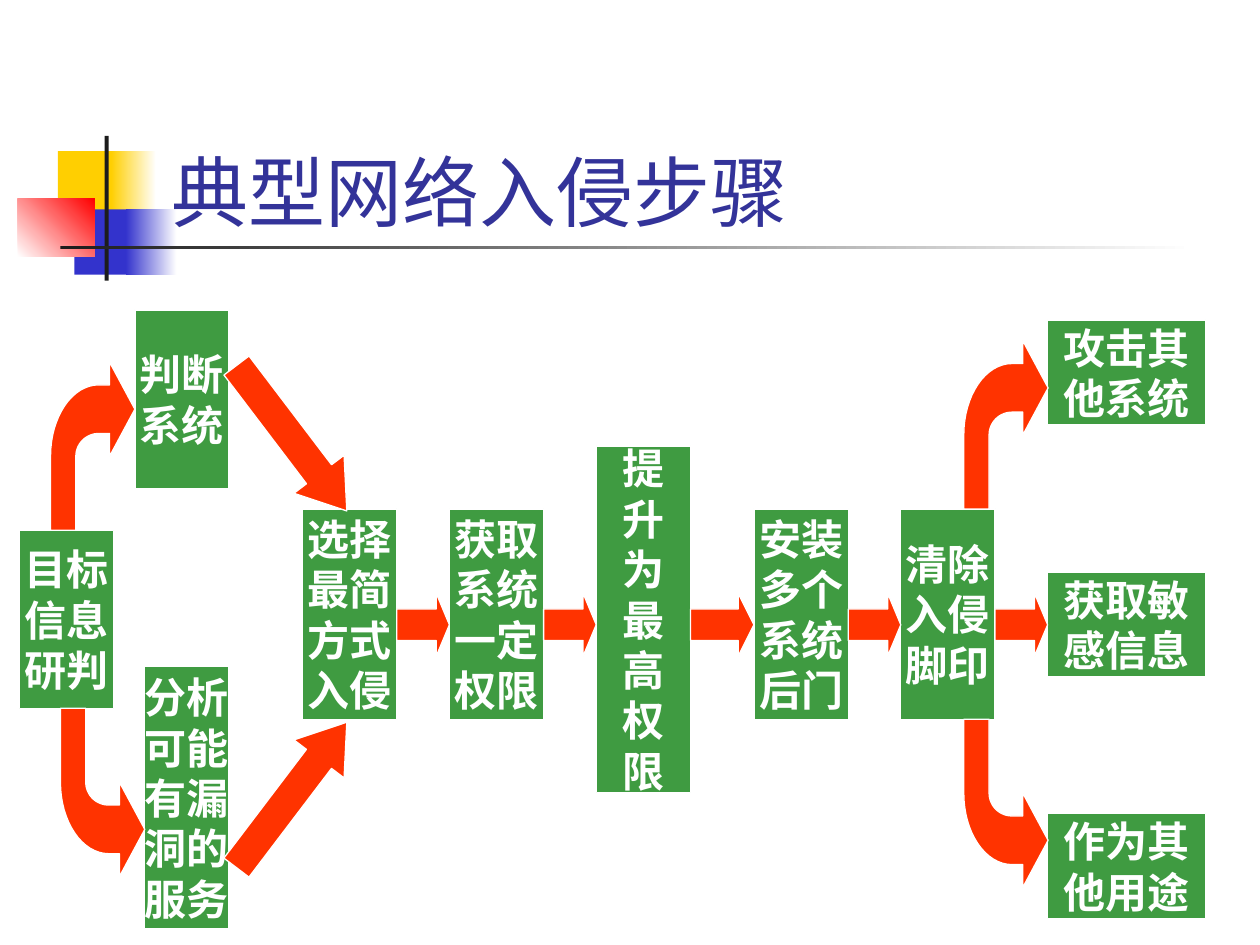
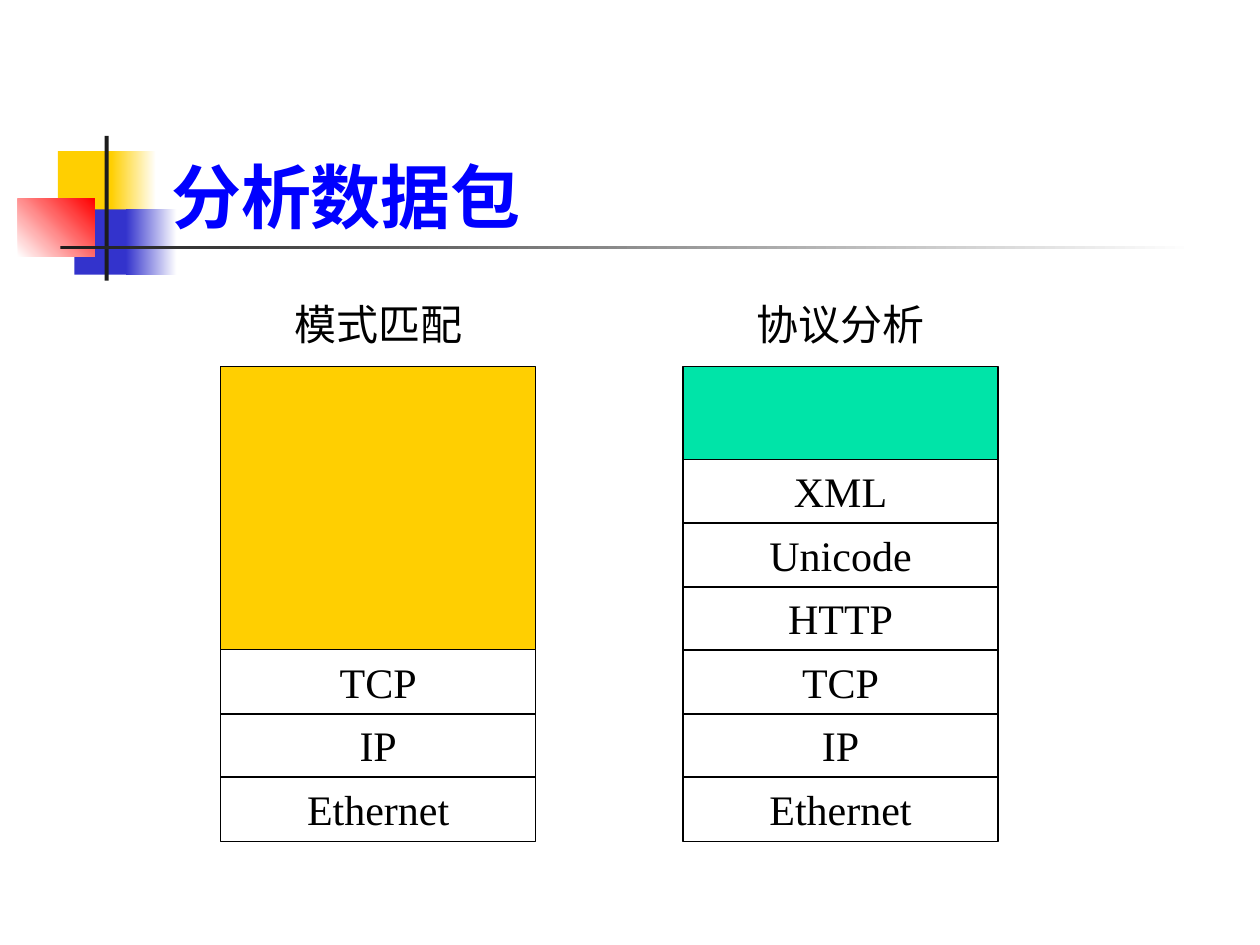
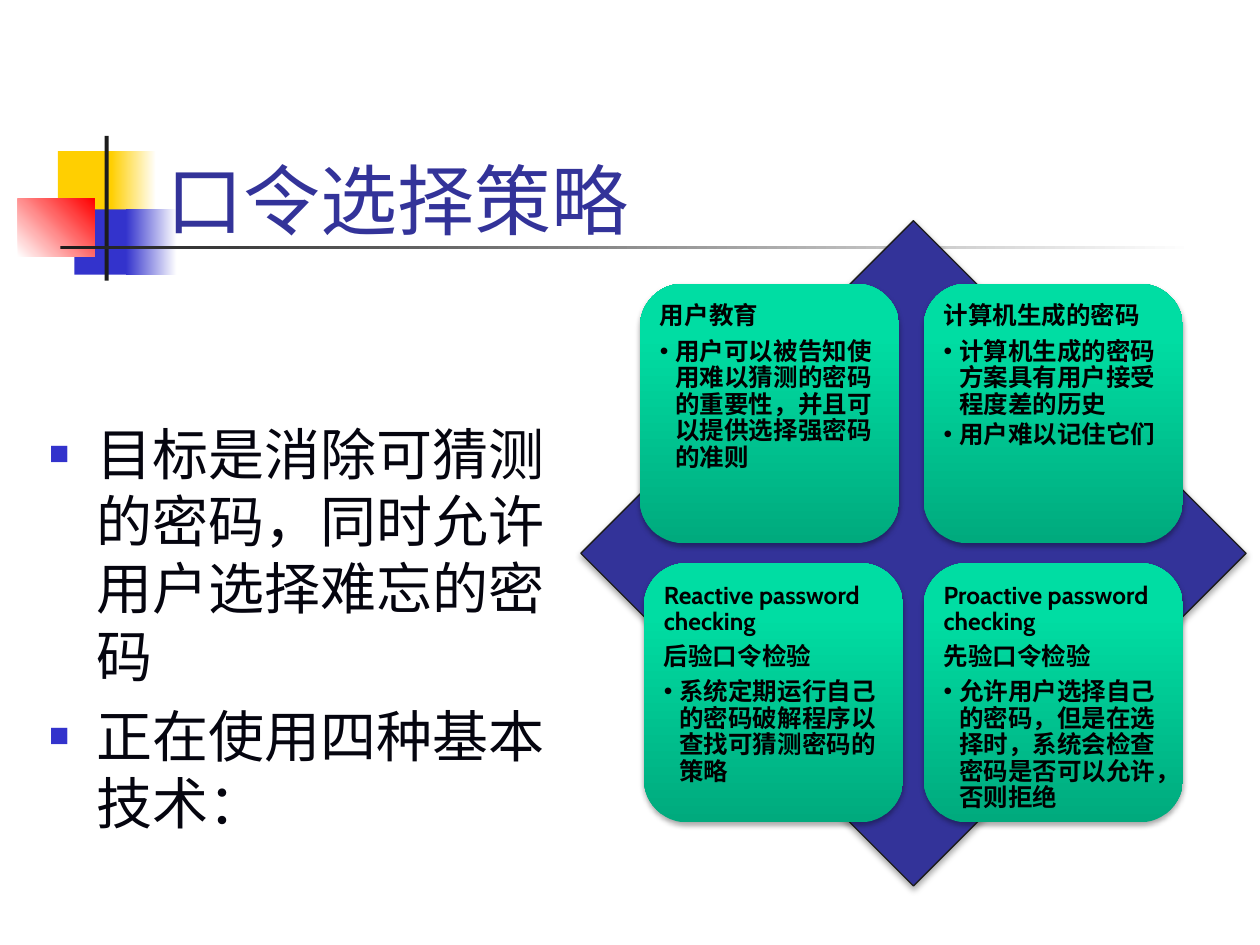
import math
from dataclasses import dataclass

import lxml.etree
import pptx
import pptx.dml.color
import pptx.enum.lang
import pptx.enum.shapes
import pptx.enum.text
import pptx.oxml.ns
import pptx.util

Cm = pptx.util.Cm
Pt = pptx.util.Pt
qn = pptx.oxml.ns.qn
SHAPE = pptx.enum.shapes.MSO_SHAPE
ALIGN = pptx.enum.text.PP_ALIGN
ANCHOR = pptx.enum.text.MSO_ANCHOR


@dataclass(frozen=True)
class TextStyle:
    font: str
    size: int
    color: str
    bold: bool = False


class Theme:
    white, black, ink = "FFFFFF", "000000", "1C1C1C"
    yellow, blue, red, indigo = "FFCF01", "3333CC", "FF0000", "333399"
    green, orange, mint = "3F9B41", "FF3300", "00E4A8"
    card_stops = [(0, "00AA7D"), (80, "00DDA3"), (100, "00DEA4")]
    line_width = 0.75
    title = TextStyle("Cabin", 44, indigo)
    title_bold = TextStyle("Cabin", 40, "0000FF", True)
    title_serif = TextStyle("Times New Roman", 44, indigo)
    step = TextStyle("Arial", 24, white, True)
    layer = TextStyle("Times New Roman", 24, black)
    body = TextStyle("Cabin", 32, "05050F")
    card = TextStyle("Cabin", 14, black, True)


def rgb(color):
    return pptx.dml.color.RGBColor.from_string(color)


# Shapes

def style_shape(shape, fill=None, line=None):
    shape.shadow.inherit = False
    if fill:
        shape.fill.solid()
        shape.fill.fore_color.rgb = rgb(fill)
    else:
        shape.fill.background()
    if line:
        shape.line.color.rgb = rgb(line)
        shape.line.width = Pt(Theme.line_width)
    else:
        shape.line.fill.background()
    return shape


def add_shape(slide, kind, box, fill=None, line=None):
    shape = slide.shapes.add_shape(kind, *map(Cm, box))
    return style_shape(shape, fill, line)


def add_element(parent, tag, **attributes):
    values = {name: str(value) for name, value in attributes.items()}
    return lxml.etree.SubElement(parent, qn(tag), values)


def set_gradient(shape, stops, angle=0):
    """Angle runs counter-clockwise from left-to-right."""
    shape.fill.gradient()
    shape.fill.gradient_angle = angle
    stop_list = shape.element.spPr.find(".//" + qn("a:gsLst"))
    for stop in list(stop_list):
        stop_list.remove(stop)
    for position, color in stops:
        stop = add_element(stop_list, "a:gs", pos=position * 1000)
        add_element(stop, "a:srgbClr", val=color)


def add_soft_shadow(shape):
    effects = shape.element.spPr.find(qn("a:effectLst"))
    shadow = add_element(effects, "a:outerShdw", blurRad=Pt(3.1), dist=Pt(1.8),
                         dir=90 * 60000, rotWithShape=0)
    color = add_element(shadow, "a:srgbClr", val=Theme.black)
    add_element(color, "a:alpha", val=35000)


# Text

def add_run(paragraph, text, style):
    run = paragraph.add_run()
    run.text = text
    run.font.name = style.font
    run.font.size = Pt(style.size)
    run.font.bold = style.bold
    run.font.color.rgb = rgb(style.color)
    if not text.isascii():
        run.font.language_id = pptx.enum.lang.MSO_LANGUAGE_ID.SIMPLIFIED_CHINESE


def write_lines(shape, lines, style, align=ALIGN.LEFT, anchor=ANCHOR.TOP, wrap=True):
    frame = shape.text_frame
    frame.word_wrap = wrap
    frame.vertical_anchor = anchor
    for index, line in enumerate(lines):
        paragraph = frame.add_paragraph() if index else frame.paragraphs[0]
        paragraph.alignment = align
        add_run(paragraph, line, style)
    return frame.paragraphs


def add_text(slide, box, lines, style, **layout):
    shape = slide.shapes.add_textbox(*map(Cm, box))
    write_lines(shape, lines, style, **layout)
    return shape


def set_bullet(paragraph, symbol, indent, color=None, percent=None):
    properties = paragraph._p.get_or_add_pPr()
    properties.set("marL", str(Cm(indent)))
    properties.set("indent", str(-Cm(indent)))
    if color:
        add_element(add_element(properties, "a:buClr"), "a:srgbClr", val=color)
    if percent:
        add_element(properties, "a:buSzPct", val=percent * 1000)
    add_element(properties, "a:buFont", typeface="Arial")
    add_element(properties, "a:buChar", char=symbol)


# Frame shared by the slides

def add_slide(presentation):
    slide = presentation.slides.add_slide(presentation.slide_layouts[6])
    ornaments = [
        ((1.17, 3.05, 1.22, 1.32), Theme.yellow, None, 0),
        ((2.24, 3.05, 0.91, 1.32), Theme.yellow, Theme.white, 0),
        ((1.5, 4.22, 1.17, 1.32), Theme.blue, None, 0),
        ((2.54, 4.22, 1.02, 1.32), Theme.blue, Theme.white, 0),
        ((0.36, 4.01, 1.55, 1.17), Theme.white, Theme.red, 45),
        ((2.11, 2.74, 0.08, 2.92), Theme.ink, None, 0),
        ((1.22, 4.95, 22.86, 0.08), Theme.ink, Theme.white, 0),
    ]
    for box, start, end, angle in ornaments:
        ornament = add_shape(slide, SHAPE.RECTANGLE, box, start)
        if end:
            set_gradient(ornament, [(0, start), (100, end)], angle)
    return slide


def add_title(slide, text, style, box=(3.2, 1.73, 21.64, 3.18)):
    return add_text(slide, box, [text], style, anchor=ANCHOR.BOTTOM)


# Intrusion steps

def add_step(slide, box, lines):
    step = add_shape(slide, SHAPE.RECTANGLE, box, Theme.green, Theme.white)
    write_lines(step, lines.split(), Theme.step, ALIGN.CENTER, ANCHOR.MIDDLE, wrap=False)


def add_block_arrow(slide, box, head=0.25, rotation=0):
    arrow = add_shape(slide, SHAPE.RIGHT_ARROW, box, Theme.orange, Theme.white)
    arrow.adjustments[0] = 0.5
    arrow.adjustments[1] = head
    arrow.rotation = rotation


def arc_points(radius_x, radius_y, start, end, steps=16):
    """Points on an ellipse around the centre of the arrow's bend."""
    for index in range(steps + 1):
        angle = math.radians(start + (end - start) * index / steps)
        yield 0.97 - radius_x * math.cos(angle), 1.9 - radius_y * math.sin(angle)


def add_curved_arrow(slide, left, foot, upward):
    outline = [(1.7, 0.95), (1.19, 0), (1.19, 0.46),
               *arc_points(0.97, 1.44, 90, 0),
               (0, 3.39), (0.51, 3.39),
               *arc_points(0.46, 0.46, 0, 90),
               (1.19, 1.44), (1.19, 1.9)]
    direction = 1 if upward else -1
    points = [(Cm(left + x), Cm(foot + direction * (y - 3.39))) for x, y in outline]
    builder = slide.shapes.build_freeform(*points[0])
    builder.add_line_segments(points[1:], close=True)
    style_shape(builder.convert_to_shape(), Theme.orange, Theme.white)


def build_intrusion_slide(presentation):
    slide = add_slide(presentation)
    add_title(slide, "典型网络入侵步骤", Theme.title)

    # Reconnaissance
    step_width = 1.9
    add_step(slide, (0.39, 10.69, step_width, 3.6), "目标 信息 研判")
    add_step(slide, (2.72, 6.25, step_width, 3.6), "判断 系统")
    add_step(slide, (2.92, 13.44, 1.7, 5.28), "分析 可能 有漏 洞的 服务")

    # Main chain
    middle, tall, taller = (10.26, 4.24), (10.26, 4.24), (8.99, 6.99)
    chain = [
        (6.1, tall, "选择 最简 方式 入侵"),
        (9.06, middle, "获取 系统 一定 权限"),
        (12.02, taller, "提 升 为 最 高 权 限"),
        (15.2, tall, "安装 多个 系统 后门"),
        (18.16, tall, "清除 入侵 脚印"),
    ]
    for left, (top, height), lines in chain:
        add_step(slide, (left, top, step_width, height), lines)

    # Outcomes
    outcome_left = 21.12
    for top, lines in [(6.45, "攻击其 他系统"), (11.53, "获取敏 感信息"),
                       (16.4, "作为其 他用途")]:
        add_step(slide, (outcome_left, top, 3.18, 2.12), lines)

    # Arrows
    lefts = [left for left, _, _ in chain] + [outcome_left]
    for left, following in zip(lefts, lefts[1:]):
        start = left + step_width
        add_block_arrow(slide, (start, 11.96, following - start, 1.27))
    for left, foot, upward in [(1.02, 10.69, True), (19.43, 10.26, True),
                               (1.22, 14.28, False), (19.43, 14.5, False)]:
        add_curved_arrow(slide, left, foot, upward)
    for top, rotation in [(8.2, 52.8), (15.39, -52.8)]:
        add_block_arrow(slide, (4.04, top, 3.68, 1.27), 0.73, rotation)


# Protocol stacks

def add_stack(slide, left, caption, caption_width, payload_color, layers):
    width, pitch, payload_top, bottom_row = 6.35, 1.28, 7.39, 15.66
    caption_left = left + (width - caption_width) / 2
    add_text(slide, (caption_left, 5.89, caption_width, 1.27), [caption],
             Theme.layer, align=ALIGN.CENTER)
    for index, name in enumerate(layers):
        box = (left, bottom_row - index * pitch, width, 1.3)
        layer = add_shape(slide, SHAPE.RECTANGLE, box, line=Theme.black)
        write_lines(layer, [name], Theme.layer, ALIGN.CENTER)
    payload_height = bottom_row - (len(layers) - 1) * pitch - payload_top
    add_shape(slide, SHAPE.RECTANGLE, (left, payload_top, width, payload_height),
              payload_color, Theme.black)


def build_packet_slide(presentation):
    slide = add_slide(presentation)
    add_title(slide, "分析数据包", Theme.title_bold)
    transport = ["Ethernet", "IP", "TCP"]
    add_stack(slide, 4.45, "模式匹配", 6.35, Theme.yellow, transport)
    add_stack(slide, 13.77, "协议分析", 7.62, Theme.mint,
              transport + ["HTTP", "Unicode", "XML"])


# Password policies

def add_card(slide, left, top, headings, points):
    card = add_shape(slide, SHAPE.ROUNDED_RECTANGLE, (left, top, 5.23, 5.23), Theme.mint)
    set_gradient(card, Theme.card_stops, 90)
    add_soft_shadow(card)
    frame = card.text_frame
    frame.margin_left = frame.margin_right = Cm(0.15)
    frame.margin_top = frame.margin_bottom = Cm(0.15)
    paragraphs = write_lines(card, headings + points, Theme.card)
    for index, paragraph in enumerate(paragraphs):
        is_point = index >= len(headings)
        paragraph.line_spacing = 0.9
        paragraph.space_after = Pt(2.1 if is_point else 4.9)
        if is_point:
            set_bullet(paragraph, "•", 0.31)


def build_password_slide(presentation):
    slide = add_slide(presentation)
    title = add_title(slide, "口令选择策略", Theme.title_serif, (3.1, 2.59, 22.3, 3.56))
    title.text_frame.margin_bottom = Cm(1.22)

    # Goals
    goals = add_text(slide, (0.74, 8.33, 11.58, 8.05),
                     ["目标是消除可猜测的密码，同时允许用户选择难忘的密码",
                      "正在使用四种基本技术："], Theme.body)
    for index, paragraph in enumerate(goals.text_frame.paragraphs):
        paragraph.space_before = Pt(7.5 if index else 0)
        set_bullet(paragraph, "■", 0.95, Theme.blue, 60)

    # Four techniques on a diamond
    diamond = add_shape(slide, SHAPE.DIAMOND, (11.71, 4.45, 13.41, 13.41),
                        Theme.indigo, Theme.ink)
    add_soft_shadow(diamond)
    upper, lower, right = 5.72, 11.35, 18.62
    add_card(slide, 12.9, upper, ["用户教育"],
             ["用户可以被告知使用难以猜测的密码的重要性，并且可以提供选择强密码的准则"])
    add_card(slide, right, upper, ["计算机生成的密码"],
             ["计算机生成的密码方案具有用户接受程度差的历史", "用户难以记住它们"])
    add_card(slide, 12.98, lower, ["Reactive password checking", "后验口令检验"],
             ["系统定期运行自己的密码破解程序以查找可猜测密码的策略"])
    add_card(slide, right, lower, ["Proactive password checking", "先验口令检验"],
             ["允许用户选择自己的密码，但是在选择时，系统会检查密码是否可以允许，否则拒绝"])


def main():
    presentation = pptx.Presentation()
    presentation.slide_width = Cm(25.4)
    presentation.slide_height = Cm(19.05)
    build_intrusion_slide(presentation)
    build_packet_slide(presentation)
    build_password_slide(presentation)
    presentation.save("out.pptx")


if __name__ == "__main__":
    main()
